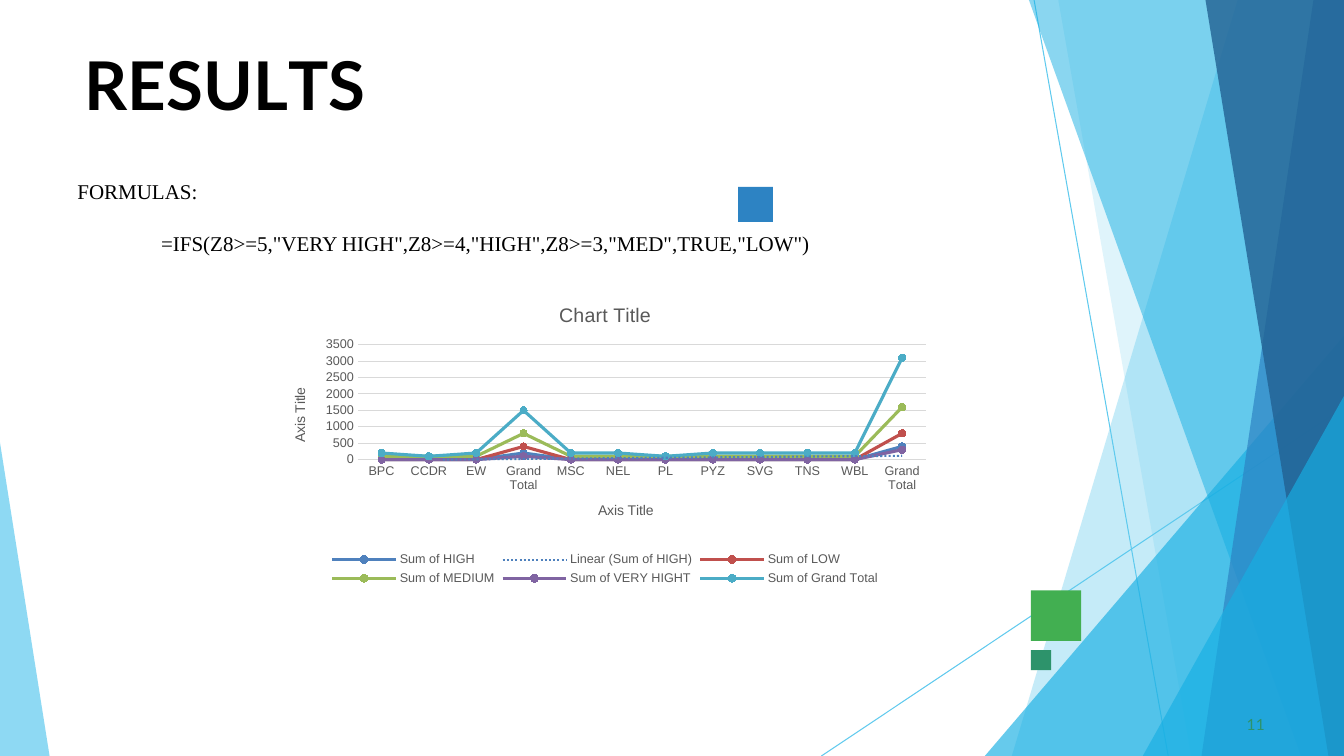
from lxml.etree import SubElement as Sub
from pptx import Presentation
from pptx.chart.data import CategoryChartData as Data
from pptx.dml.color import RGBColor
from pptx.enum.chart import XL_CHART_TYPE as Kind, XL_LEGEND_POSITION as Spot
from pptx.enum.chart import XL_MARKER_STYLE as Mark, XL_TICK_MARK as Tick
from pptx.enum.shapes import MSO_CONNECTOR as Wire, MSO_SHAPE as Form
from pptx.oxml import parse_xml
from pptx.oxml.ns import nsdecls, qn
from pptx.util import Cm, Pt

WIDE, HIGH = 33.87, 19.05
BLACK = RGBColor(0, 0, 0)
GREY = RGBColor(0x59, 0x59, 0x59)
PALE = RGBColor(0xD9, 0xD9, 0xD9)
SKY = RGBColor(0x5F, 0xCA, 0xEE)
CYAN = RGBColor(0x17, 0xAF, 0xE3)
BLUE = RGBColor(0x2D, 0x83, 0xC3)
NAVY = RGBColor(0x22, 0x61, 0x92)
GREEN = RGBColor(0x42, 0xAF, 0x51)
TEAL = RGBColor(0x2D, 0x93, 0x6B)

PANES = [
    (10.49, 0, 4.8, SKY, 36),
    (5.97, 0, 9.32, SKY, 20),
    (13.17, 8.46, 4.12, CYAN, 66),
    (5.23, 0, 12.09, CYAN, 50),
    (12.4, 0, 9.58, BLUE, 70),
    (9.68, 0, 12.78, NAVY, 80),
    (13.17, 9.98, 8.1, CYAN, 66),
]
CATS = ["BPC", "CCDR", "EW", "Grand Total", "MSC", "NEL", "PL", "PYZ",
        "SVG", "TNS", "WBL", "Grand Total"]
ROWS = [
    ("Sum of HIGH", RGBColor(0x4F, 0x81, 0xBD),
     [0, 0, 0, 200, 0, 0, 0, 0, 0, 0, 0, 400]),
    ("Sum of LOW", RGBColor(0xC0, 0x50, 0x4D),
     [0, 0, 0, 400, 0, 0, 0, 0, 0, 0, 0, 800]),
    ("Sum of MEDIUM", RGBColor(0x9B, 0xBB, 0x59),
     [100, 100, 100, 800, 100, 100, 100, 100, 100, 100, 100, 1600]),
    ("Sum of VERY HIGHT", RGBColor(0x80, 0x64, 0xA2),
     [0, 0, 0, 100, 0, 0, 0, 0, 0, 0, 0, 300]),
    ("Sum of Grand Total", RGBColor(0x4B, 0xAC, 0xC6),
     [200, 100, 200, 1500, 200, 200, 100, 200, 200, 200, 200, 3100]),
]


def paint(shape, color, alpha=100):
    shape.shadow.inherit = False
    shape.line.fill.background()
    shape.fill.solid()
    shape.fill.fore_color.rgb = color
    if alpha < 100:
        tone = shape.fill._xPr.find(".//" + qn("a:srgbClr"))
        Sub(tone, qn("a:alpha"), val=str(alpha * 1000))


def add_pane(slide, spots, color, alpha):
    spots = [(Cm(x), Cm(y)) for x, y in spots]
    pen = slide.shapes.build_freeform(*spots[0], scale=1)
    pen.add_line_segments(spots[1:], close=True)
    paint(pen.convert_to_shape(), color, alpha)


def add_wire(slide, *ends):
    wire = slide.shapes.add_connector(Wire.STRAIGHT, *map(Cm, ends))
    wire.line.color.rgb = SKY
    wire.line.width = Pt(0.75)
    Sub(wire._element.spPr, qn("a:effectLst"))


def add_facets(slide, left, top, width, height):
    right, base = left + width, top + height
    add_wire(slide, left + 5.36, top, left + 8.74, base)
    add_wire(slide, right, top + 10.26, left, base)
    for x, y, foot, color, alpha in PANES:
        spots = [(right, top + y), (left + x, top + y), (left + foot, base), (right, base)]
        add_pane(slide, spots, color, alpha)


def add_wedge(slide, left, top, width, height):
    base = top + height
    add_pane(slide, [(left, top), (left, base), (left + width, base)], SKY, 70)


def add_block(slide, left, top, size, color):
    box = slide.shapes.add_shape(Form.RECTANGLE, *map(Cm, (left, top, size, size)))
    paint(box, color)


def add_frame(slide, box, side, head):
    frame = slide.shapes.add_textbox(*map(Cm, box)).text_frame
    frame.word_wrap = True
    frame.margin_left = frame.margin_right = Cm(side)
    frame.margin_top, frame.margin_bottom = Cm(head), 0
    return frame


def add_run(para, text, size, face, color, bold=False, gap=0):
    run = para.add_run()
    run.text = text
    font = run.font
    font.size, font.name, font.bold = Pt(size), face, bold
    font.color.rgb = color
    if gap:
        run._r.get_or_add_rPr().set("spc", str(gap))


def add_title(slide, *box):
    para = add_frame(slide, box, 0.03, 0.03).paragraphs[0]
    para.space_before = Pt(1.1)
    for text, gap in [("R", 0), ("E", -40), ("S", 10), ("U", -30), ("L", -400), ("TS", 0)]:
        add_run(para, text, 48, "Lato", BLACK, True, gap)


def add_body(slide, *box):
    frame = add_frame(slide, box, 0.25, 0.13)
    lead = frame.paragraphs[0]
    add_run(lead, "FORMULAS:", 15, "Times New Roman", BLACK)
    rule = frame.add_paragraph()
    rule.space_before = Pt(19)
    rule._p.get_or_add_pPr().set("marL", str(Cm(2.11)))
    add_run(rule, '=IFS(Z8>=5,"VERY HIGH",Z8>=4,"HIGH",Z8>=3,"MED",TRUE,"LOW")',
            15, "Times New Roman", BLACK)


def add_page(slide, *box):
    para = add_frame(slide, box, 0.1, 0.03).paragraphs[0]
    para.space_before = Pt(0.6)
    add_run(para, "11", 11, "Lato", TEAL, gap=10)


def add_label(part, text, size):
    add_run(part.text_frame.paragraphs[0], text, size, "Arial", GREY)


def style_axis(axis):
    axis.has_title = True
    add_label(axis.axis_title, "Axis Title", 10)
    axis.major_tick_mark = axis.minor_tick_mark = Tick.NONE
    axis.tick_labels.font.size = Pt(9)
    axis.tick_labels.font.color.rgb = GREY


def style_row(row, color):
    row.smooth = False
    row.format.line.color.rgb = color
    row.format.line.width = Pt(2.25)
    row.marker.style, row.marker.size = Mark.CIRCLE, 5
    row.marker.format.fill.solid()
    row.marker.format.fill.fore_color.rgb = color
    row.marker.format.line.color.rgb = color


def add_trend(row, color):
    trend = parse_xml(
        f'<c:trendline {nsdecls("c", "a")}><c:spPr><a:ln w="19050"><a:solidFill>'
        f'<a:srgbClr val="{color}"/></a:solidFill><a:prstDash val="sysDot"/></a:ln></c:spPr>'
        '<c:trendlineType val="linear"/><c:dispRSqr val="0"/><c:dispEq val="0"/></c:trendline>')
    row._element.find(qn("c:cat")).addprevious(trend)


def set_plot(chart, **rect):
    area = chart._chartSpace.chart.plotArea
    for old in area.findall(qn("c:layout")):
        area.remove(old)
    sizes = "".join(f'<c:{key} val="{val}"/>' for key, val in rect.items())
    area.insert(0, parse_xml(
        f'<c:layout {nsdecls("c")}><c:manualLayout><c:layoutTarget val="inner"/>'
        f'<c:xMode val="edge"/><c:yMode val="edge"/>{sizes}</c:manualLayout></c:layout>'))


def add_graph(slide, *box):
    data = Data()
    data.categories = CATS
    for name, color, vals in ROWS:
        data.add_series(name, vals)
    chart = slide.shapes.add_chart(Kind.LINE_MARKERS, *map(Cm, box), data).chart
    chart.font.name, chart.font.size = "Arial", Pt(10)
    chart.has_title = True
    add_label(chart.chart_title, "Chart Title", 14)
    chart.has_legend = True
    chart.legend.position = Spot.BOTTOM
    chart.legend.include_in_layout = False
    chart.legend.font.size = Pt(9)
    chart.legend.font.color.rgb = GREY
    cat, val = chart.category_axis, chart.value_axis
    style_axis(cat)
    style_axis(val)
    cat.format.line.color.rgb = PALE
    val.format.line.fill.background()
    val.minimum_scale, val.maximum_scale, val.major_unit = 0, 3500, 500
    val.major_gridlines.format.line.color.rgb = PALE
    val.major_gridlines.format.line.width = Pt(0.75)
    plot = chart.plots[0]
    plot.vary_by_categories = False
    for row, (name, color, vals) in zip(plot.series, ROWS):
        style_row(row, color)
    add_trend(plot.series[0], ROWS[0][1])
    set_plot(chart, x=0.13, y=0.19, w=0.85, h=0.38)


def main():
    deck = Presentation()
    deck.slide_width, deck.slide_height = Cm(WIDE), Cm(HIGH)
    slide = deck.slides.add_slide(deck.slide_layouts[6])
    add_facets(slide, 20.7, 0, WIDE - 20.7, HIGH)
    add_wedge(slide, 0, 11.15, 1.25, HIGH - 11.15)
    add_block(slide, 25.98, 14.88, 1.27, GREEN)
    add_block(slide, 18.6, 4.71, 0.88, BLUE)
    add_block(slide, 25.98, 16.38, 0.51, TEAL)
    add_title(slide, 2.1, 1.07, 29.67, 2.06)
    add_body(slide, 1.7, 4.37, 30.48, 8.59)
    add_page(slide, 31.32, 17.98, 0.7, 0.46)
    add_graph(slide, 6.83, 7.24, 16.84, 7.62)
    deck.save("out.pptx")


if __name__ == "__main__":
    main()
